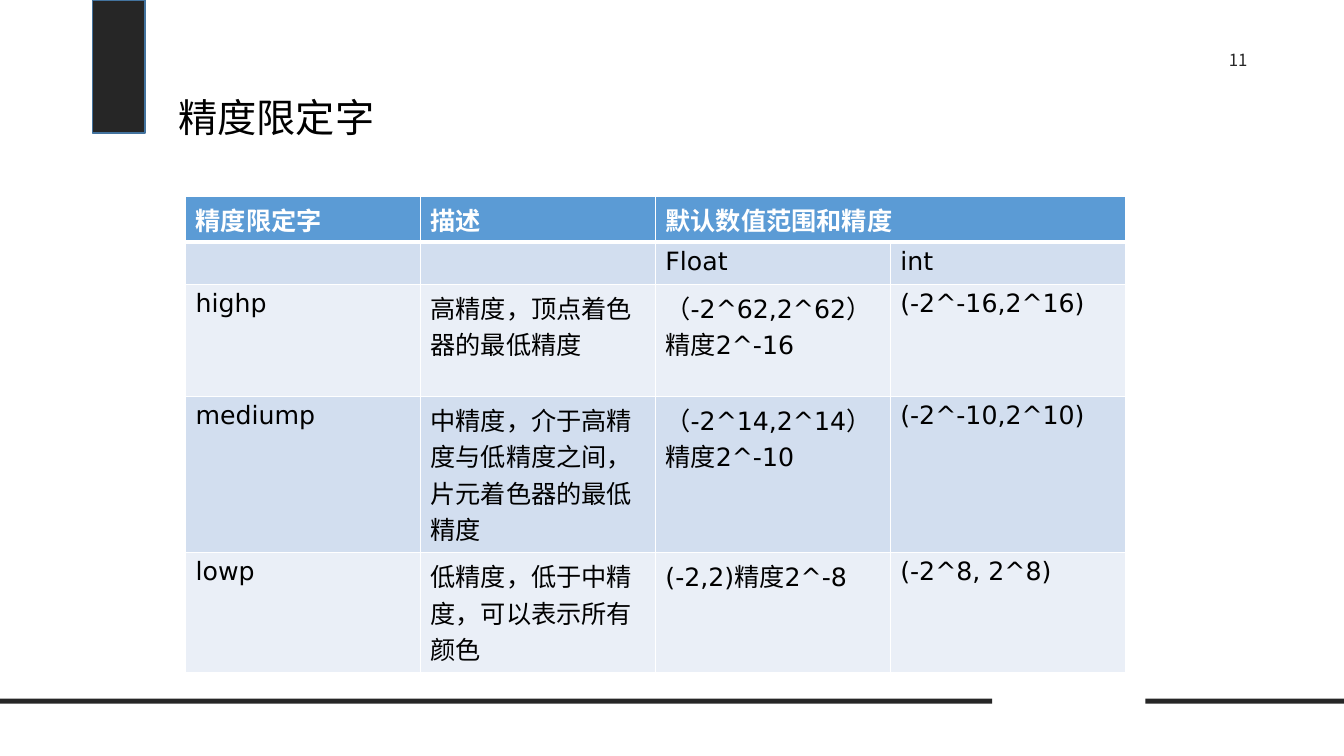
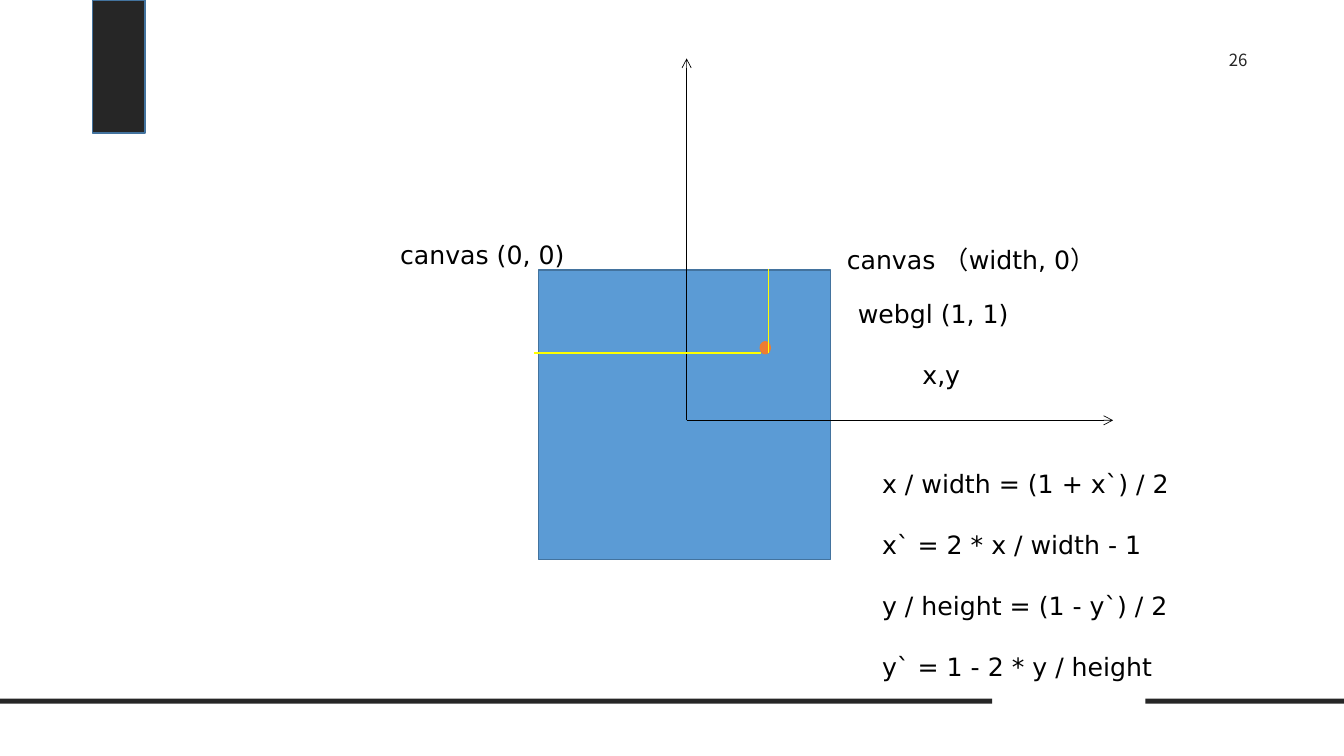
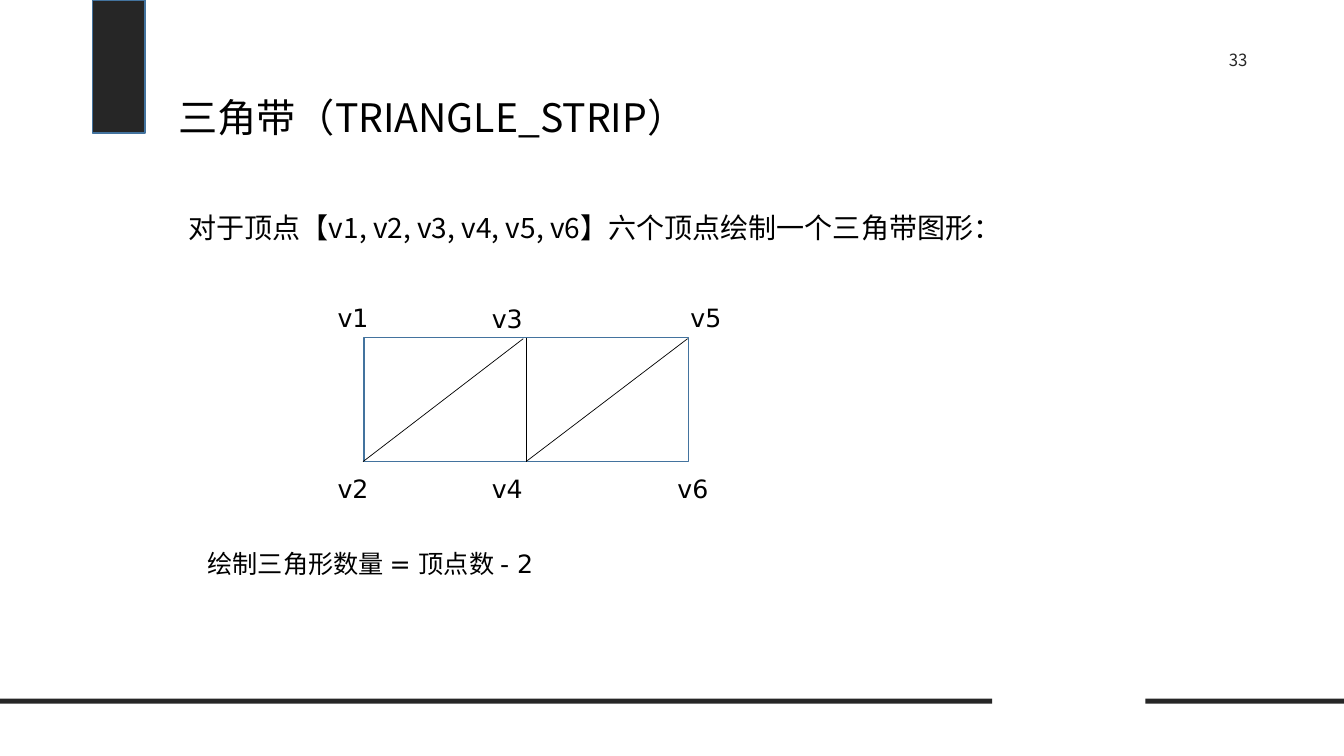
"""Three shader lesson slides: precision qualifiers, canvas mapping and triangle strips."""
from typing import NamedTuple, Optional, Sequence

from lxml.etree import SubElement
from pptx import Presentation
from pptx.dml.color import RGBColor
from pptx.enum.shapes import MSO_CONNECTOR, MSO_SHAPE
from pptx.enum.text import MSO_ANCHOR, MSO_AUTO_SIZE, PP_ALIGN
from pptx.oxml.ns import qn
from pptx.util import Emu, Pt

EMU_PER_PX = 9144
LATIN, CJK = "DejaVu Sans", "Noto Sans CJK SC"
BLACK, WHITE, DARK = "000000", "FFFFFF", "262626"
BLUE, BLUE_EDGE, ORANGE, YELLOW = "5B9BD5", "43739E", "ED7D31", "FFFF00"
ROW_FILLS = ("D2DEEF", "EAEFF7")
TITLE_SLIDE, TITLE_ONLY, BLANK = 0, 5, 6


class Box(NamedTuple):
    x: int
    y: int
    w: int
    h: int


class Label(NamedTuple):
    text: str
    box: Box


class Line(NamedTuple):
    x1: int
    y1: int
    x2: int
    y2: int
    color: str = BLACK
    width: float = 0.5
    arrow: bool = False


TITLE_BOX = Box(167, 62, 1000, 83)
BANDS = (Box(0, 693, 984, 5), Box(1136, 693, 197, 5))
ROW_HEIGHTS = (45, 42, 111, 155, 119)
TABLE_BOX = Box(184, 195, 932, sum(ROW_HEIGHTS))
PRECISION_ROWS = (
    ("精度限定字", "描述", "默认数值范围和精度", ""),
    ("", "", "Float", "int"),
    ("highp", "高精度，顶点着色器的最低精度", "（-2^62,2^62）精度2^-16", "(-2^-16,2^16)"),
    ("mediump", "中精度，介于高精度与低精度之间，片元着色器的最低精度",
     "（-2^14,2^14）精度2^-10", "(-2^-10,2^10)"),
    ("lowp", "低精度，低于中精度，可以表示所有颜色", "(-2,2)精度2^-8", "(-2^8, 2^8)"),
)
AXES = (Line(681, 417, 1104, 417, arrow=True), Line(681, 417, 681, 58, arrow=True))
GUIDES = (Line(755, 350, 530, 350, YELLOW, 1.5), Line(762, 350, 762, 267, YELLOW, 0.75))
CANVAS_LABELS = (
    Label("canvas (0, 0)", Box(387, 233, 300, 40)),
    Label("canvas （width, 0）", Box(830, 237, 421, 40)),
    Label("webgl (1, 1)", Box(841, 291, 276, 71)),
    Label("x,y", Box(905, 352, 80, 40)),
)
FORMULAS = (
    "x / width = (1 + x`) / 2",
    "x` = 2 * x / width - 1",
    "y / height = (1 - y`) / 2",
    "y` = 1 - 2 * y / height",
)
DIAGONALS = (Line(519, 336, 360, 458), Line(682, 336, 523, 457))
VERTICES = (("v1", 325, 295), ("v2", 325, 465), ("v3", 478, 296),
            ("v4", 478, 465), ("v5", 675, 295), ("v6", 662, 465))


def px(n: int) -> Emu:
    """Turn pixels into EMU."""
    return Emu(n * EMU_PER_PX)


def emus(box: Box) -> list:
    """Turn a box into EMU lengths."""
    return [px(n) for n in box]


def rgb(color: str) -> RGBColor:
    """Turn a hex string into a colour."""
    return RGBColor.from_string(color)


def format_paragraph(p, size: int = 18, name: str = LATIN, color: str = BLACK,
                     bold: bool = False) -> None:
    """Set the paragraph font, with one face for Chinese text."""
    p.font.size, p.font.name, p.font.bold = Pt(size), name, bold
    p.font.color.rgb = rgb(color)
    props = p._p.pPr.find(qn("a:defRPr"))
    if props.find(qn("a:ea")) is None:
        SubElement(props, qn("a:ea")).set("typeface", CJK)


def set_insets(tf, x: int, y: int) -> None:
    """Set the horizontal and vertical text insets."""
    tf.margin_left = tf.margin_right = px(x)
    tf.margin_top = tf.margin_bottom = px(y)


def add_text(s, lines: Sequence[str], box: Box, gap: int = 0):
    """Add a text box with one paragraph per line and return its frame."""
    tf = s.shapes.add_textbox(*emus(box)).text_frame
    tf.word_wrap = True
    for i, line in enumerate(lines):
        p = tf.add_paragraph() if i else tf.paragraphs[0]
        p.text = line
        if i:
            p.space_before = Pt(gap)
        format_paragraph(p)
    return tf


def add_box(s, box: Box, fill: Optional[str] = None, line: Optional[str] = None,
            kind=MSO_SHAPE.RECTANGLE):
    """Add a preset shape with an optional fill and outline."""
    sp = s.shapes.add_shape(kind, *emus(box))
    sp.shadow.inherit = False
    if fill:
        sp.fill.solid()
        sp.fill.fore_color.rgb = rgb(fill)
    else:
        sp.fill.background()
    if line:
        sp.line.color.rgb = rgb(line)
        sp.line.width = Pt(1)
    else:
        sp.line.fill.background()
    return sp


def add_line(s, line: Line):
    """Add a straight connector, with an arrowhead if asked."""
    ends = [px(n) for n in line[:4]]
    cxn = s.shapes.add_connector(MSO_CONNECTOR.STRAIGHT, *ends)
    cxn.line.color.rgb = rgb(line.color)
    cxn.line.width = Pt(line.width)
    if line.arrow:
        SubElement(cxn.line._get_or_add_ln(), qn("a:tailEnd")).set("type", "arrow")
    SubElement(cxn._element.spPr, qn("a:effectLst"))
    return cxn


def add_bottom_border(cell, color: str, width: int) -> None:
    """Draw the bottom border of a table cell."""
    props = cell._tc.get_or_add_tcPr()
    border = SubElement(props, qn("a:lnB"))
    border.set("w", str(Pt(width)))
    SubElement(SubElement(border, qn("a:solidFill")), qn("a:srgbClr")).set("val", color)
    props.insert(0, border)


def fill_placeholder(sp, text: str, box: Box, size: int) -> None:
    """Move a placeholder, and write and format its text."""
    sp.left, sp.top, sp.width, sp.height = emus(box)
    tf = sp.text_frame
    tf.text = text
    tf.auto_size = MSO_AUTO_SIZE.NONE
    p = tf.paragraphs[0]
    p.alignment, p.line_spacing, p.space_before = PP_ALIGN.LEFT, 0.9, Pt(0)
    format_paragraph(p, size, CJK)


def add_slide(prs, layout: int, number: int, title: str = ""):
    """Add a slide with the shared bands, page number and title."""
    s = prs.slides.add_slide(prs.slide_layouts[layout])
    add_box(s, Box(92, 0, 52, 132), DARK, BLUE_EDGE)
    for band in BANDS:
        add_box(s, band, DARK)
    tf = add_text(s, [str(number)], Box(1183, 39, 90, 43))
    set_insets(tf, 20, 10)
    tf.paragraphs[0].alignment = PP_ALIGN.CENTER
    format_paragraph(tf.paragraphs[0], 12, CJK, DARK)
    if title:
        fill_placeholder(s.shapes.title, title, TITLE_BOX, 28)
        s.shapes.title.text_frame.vertical_anchor = MSO_ANCHOR.BOTTOM
    return s


def build_precision(prs) -> None:
    """Build the table of precision qualifiers."""
    s = add_slide(prs, TITLE_ONLY, 11, "精度限定字")
    columns = len(PRECISION_ROWS[0])
    table = s.shapes.add_table(len(PRECISION_ROWS), columns, *emus(TABLE_BOX)).table
    for column in table.columns:
        column.width = px(TABLE_BOX.w // columns)
    for i, texts in enumerate(PRECISION_ROWS):
        table.rows[i].height = px(ROW_HEIGHTS[i])
        header = i == 0
        for j, text in enumerate(texts):
            cell = table.cell(i, j)
            cell.fill.solid()
            cell.fill.fore_color.rgb = rgb(BLUE if header else ROW_FILLS[(i - 1) % 2])
            if header:
                add_bottom_border(cell, WHITE, 3)
            cell.text = text
            format_paragraph(cell.text_frame.paragraphs[0],
                             color=WHITE if header else BLACK, bold=header)
    table.cell(0, 2).merge(table.cell(0, 3))


def build_canvas(prs) -> None:
    """Build the diagram mapping canvas to clip coordinates."""
    s = add_slide(prs, BLANK, 26)
    add_box(s, Box(534, 268, 290, 287), BLUE, BLUE_EDGE)
    for axis in AXES:
        add_line(s, axis)
    for label in CANVAS_LABELS:
        add_text(s, [label.text], label.box)
    add_box(s, Box(754, 339, 10, 12), ORANGE, ORANGE, MSO_SHAPE.OVAL)
    for guide in GUIDES:
        add_line(s, guide)
    add_text(s, FORMULAS, Box(865, 460, 351, 252), gap=22)


def build_strip(prs) -> None:
    """Build the triangle strip diagram."""
    s = add_slide(prs, TITLE_SLIDE, 33, "三角带（TRIANGLE_STRIP）")
    body = s.placeholders[1]
    fill_placeholder(body, "对于顶点【v1, v2, v3, v4, v5, v6】六个顶点绘制一个三角带图形：",
                     Box(167, 203, 1000, 70), 20)
    set_insets(body.text_frame, 20, 10)
    strip = add_box(s, Box(361, 335, 322, 123), line=BLUE_EDGE)
    middle = add_line(s, Line(522, 335, 522, 458))
    middle.begin_connect(strip, 0)
    middle.end_connect(strip, 2)
    for diagonal in DIAGONALS:
        add_line(s, diagonal)
    for name, x, y in VERTICES:
        add_text(s, [name], Box(x, y, 87, 40))
    add_text(s, ["绘制三角形数量 = 顶点数 - 2"], Box(196, 539, 641, 40))


def main() -> None:
    """Build and save the slides."""
    prs = Presentation()
    prs.slide_width, prs.slide_height = px(1333), px(750)
    build_precision(prs)
    build_canvas(prs)
    build_strip(prs)
    prs.save("out.pptx")


if __name__ == "__main__":
    main()
